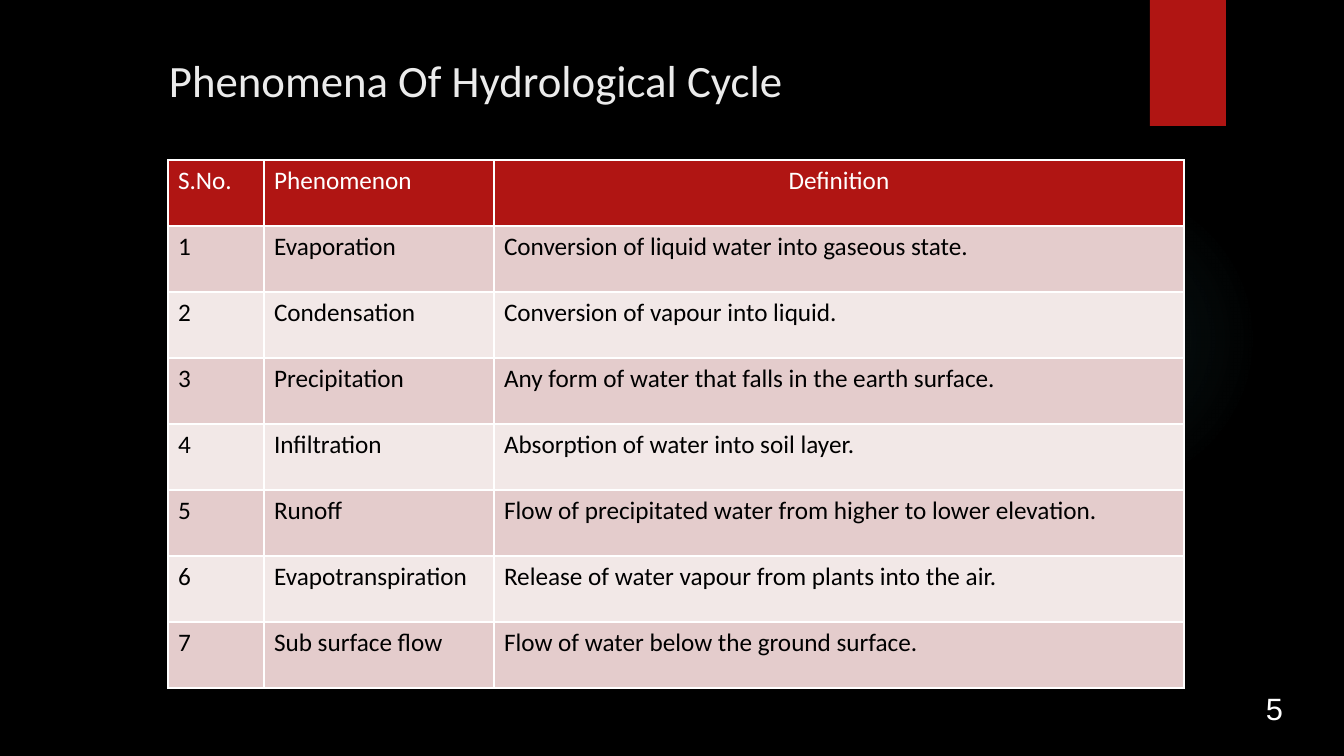
"""Build the slide listing the phenomena of the hydrological cycle."""
import dataclasses

import lxml.etree
import pptx
import pptx.dml.color
import pptx.enum.shapes
import pptx.enum.text
import pptx.oxml
import pptx.oxml.ns
import pptx.util


@dataclasses.dataclass(frozen=True)
class Theme:
    background: str = "000000"
    accent: str = "B01513"
    glow: str = "50B9C1"
    light: str = "FFFFFF"
    title: str = "EBEBEB"
    dark: str = "000000"
    bands: tuple = ("E4CCCC", "F2E8E7")
    font: str = "Calibri"
    number_font: str = "Arial"
    title_size: int = 32
    number_size: int = 22
    table_size: int = 18


THEME = Theme()
COLUMN_WIDTHS = (96, 230, 690)
ROW_HEIGHT = 66
HEADINGS = ("S.No.", "Phenomenon", "Definition")
PHENOMENA = (
    ("Evaporation", "Conversion of liquid water into gaseous state."),
    ("Condensation", "Conversion of vapour into liquid."),
    ("Precipitation", "Any form of water that falls in the earth surface."),
    ("Infiltration", "Absorption of water into soil layer."),
    ("Runoff", "Flow of precipitated water from higher to lower elevation."),
    ("Evapotranspiration", "Release of water vapour from plants into the air."),
    ("Sub surface flow", "Flow of water below the ground surface."),
)


def px(length):
    return pptx.util.Emu(round(length * 914400 / 100.8))


def rgb(color):
    return pptx.dml.color.RGBColor.from_string(color)


def paint(fill, color):
    fill.solid()
    fill.fore_color.rgb = rgb(color)


def write(text_frame, text, font_name, size, color):
    text_frame.text = text
    for run in text_frame.paragraphs[0].runs:
        run.font.name = font_name
        run.font.size = pptx.util.Pt(size)
        run.font.color.rgb = rgb(color)


def add_block(slide, kind, left, top, width, height, color):
    shape = slide.shapes.add_shape(kind, px(left), px(top), px(width), px(height))
    shape.shadow.inherit = False
    shape.line.fill.background()
    paint(shape.fill, color)
    return shape


def add_glow(slide, left, top, size):
    circle = add_block(slide, pptx.enum.shapes.MSO_SHAPE.OVAL, left, top, size, size, THEME.glow)
    stops = "".join(
        f'<a:gs pos="{position * 1000}"><a:srgbClr val="{THEME.glow}">'
        f'<a:alpha val="{alpha * 1000}"/></a:srgbClr></a:gs>'
        for position, alpha in ((0, 7), (36, 6), (69, 0))
    )
    gradient = pptx.oxml.parse_xml(
        f'<a:gradFill {pptx.oxml.ns.nsdecls("a")}><a:gsLst>{stops}</a:gsLst><a:path path="circle">'
        '<a:fillToRect l="50000" t="50000" r="50000" b="50000"/></a:path></a:gradFill>'
    )
    properties = circle.element.spPr
    properties.replace(properties.find(pptx.oxml.ns.qn("a:solidFill")), gradient)


def add_label(slide, left, top, width, height, text, font_name, size, color):
    text_frame = slide.shapes.add_textbox(px(left), px(top), px(width), px(height)).text_frame
    text_frame.word_wrap = True
    text_frame.margin_left = text_frame.margin_right = text_frame.margin_bottom = 0
    text_frame.margin_top = px(1)
    write(text_frame, text, font_name, size, color)


def add_borders(cell):
    properties = cell._tc.get_or_add_tcPr()
    for side in ("lnL", "lnR", "lnT", "lnB"):
        line = lxml.etree.SubElement(properties, pptx.oxml.ns.qn(f"a:{side}"), w=str(pptx.util.Pt(1)))
        fill = lxml.etree.SubElement(line, pptx.oxml.ns.qn("a:solidFill"))
        lxml.etree.SubElement(fill, pptx.oxml.ns.qn("a:srgbClr"), val=THEME.light)


def fill_cell(cell, text, text_color, fill_color):
    write(cell.text_frame, text, THEME.font, THEME.table_size, text_color)
    add_borders(cell)
    paint(cell.fill, fill_color)


def add_phenomena_table(slide, left, top):
    rows = [HEADINGS] + [(str(number), *row) for number, row in enumerate(PHENOMENA, 1)]
    table = slide.shapes.add_table(
        len(rows), len(HEADINGS), px(left), px(top),
        px(sum(COLUMN_WIDTHS)), px(ROW_HEIGHT * len(rows)),
    ).table
    for column, width in zip(table.columns, COLUMN_WIDTHS):
        column.width = px(width)
    for row_index, row in enumerate(rows):
        table.rows[row_index].height = px(ROW_HEIGHT)
        if row_index == 0:
            text_color, fill_color = THEME.light, THEME.accent
        else:
            text_color, fill_color = THEME.dark, THEME.bands[(row_index - 1) % 2]
        for column_index, text in enumerate(row):
            fill_cell(table.cell(row_index, column_index), text, text_color, fill_color)
    definition_heading = table.cell(0, 2).text_frame.paragraphs[0]
    definition_heading.alignment = pptx.enum.text.PP_ALIGN.CENTER


def main():
    presentation = pptx.Presentation()
    presentation.slide_width = px(1344)
    presentation.slide_height = px(756)
    slide = presentation.slides.add_slide(presentation.slide_layouts[6])
    paint(slide.background.fill, THEME.background)
    add_glow(slide, 949, 184, 310)
    add_block(slide, pptx.enum.shapes.MSO_SHAPE.RECTANGLE, 1150, 0, 76, 126, THEME.accent)
    add_label(slide, 1266, 689, 20, 39, "5", THEME.number_font, THEME.number_size, THEME.light)
    add_label(slide, 169, 52, 991, 55, "Phenomena Of Hydrological Cycle",
              THEME.font, THEME.title_size, THEME.title)
    add_phenomena_table(slide, 168, 160)
    presentation.save("out.pptx")


if __name__ == "__main__":
    main()
